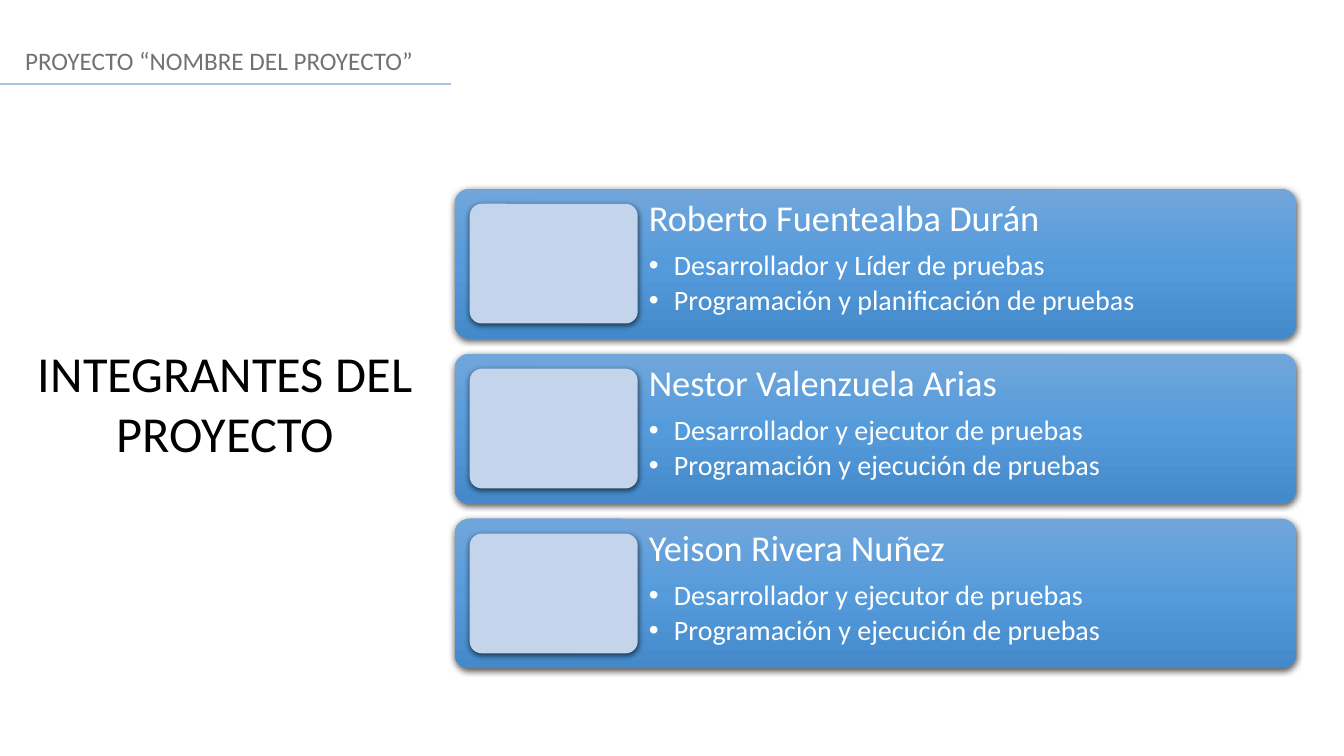
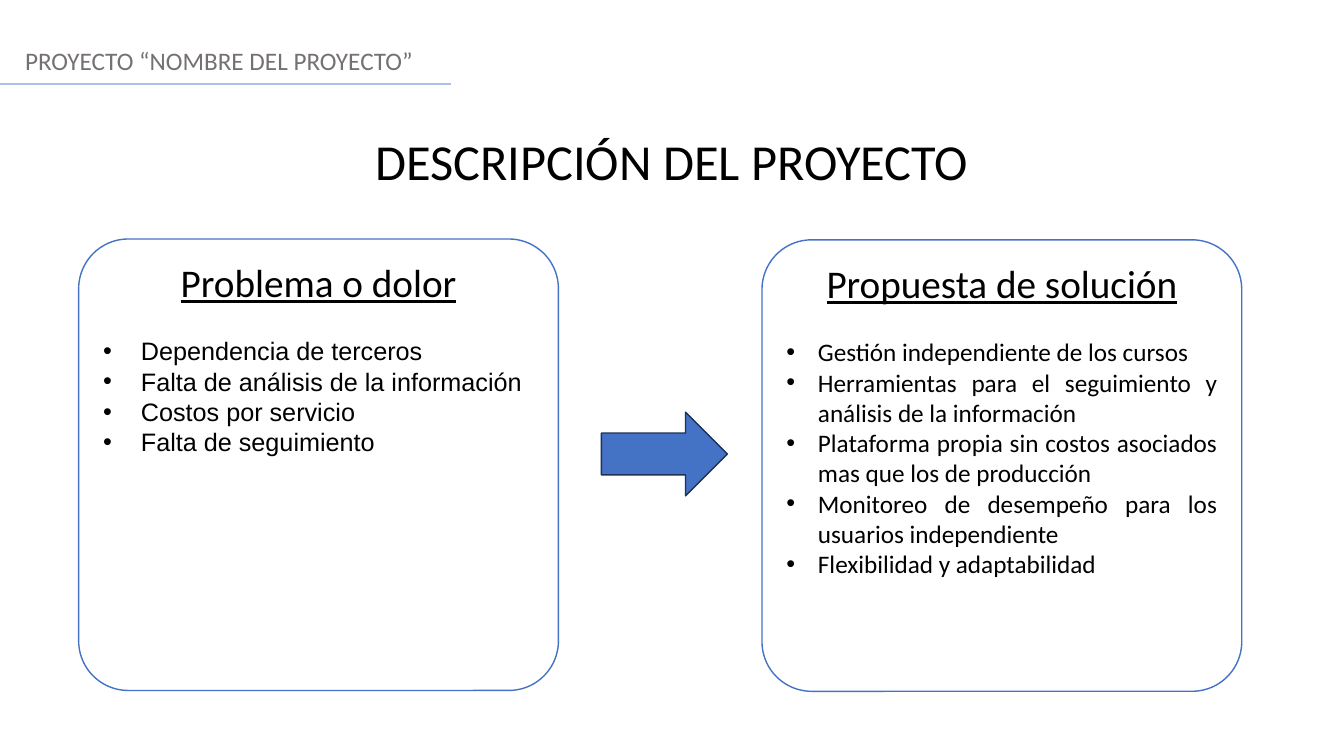
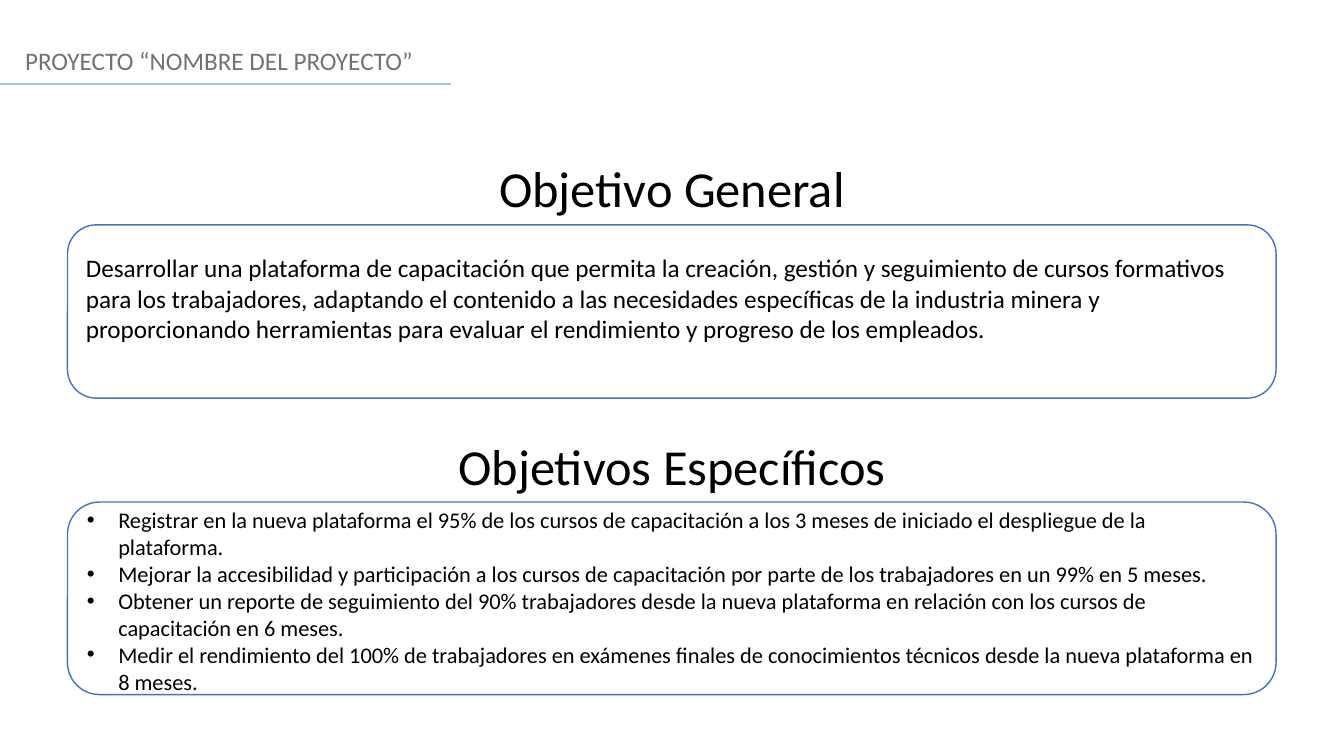
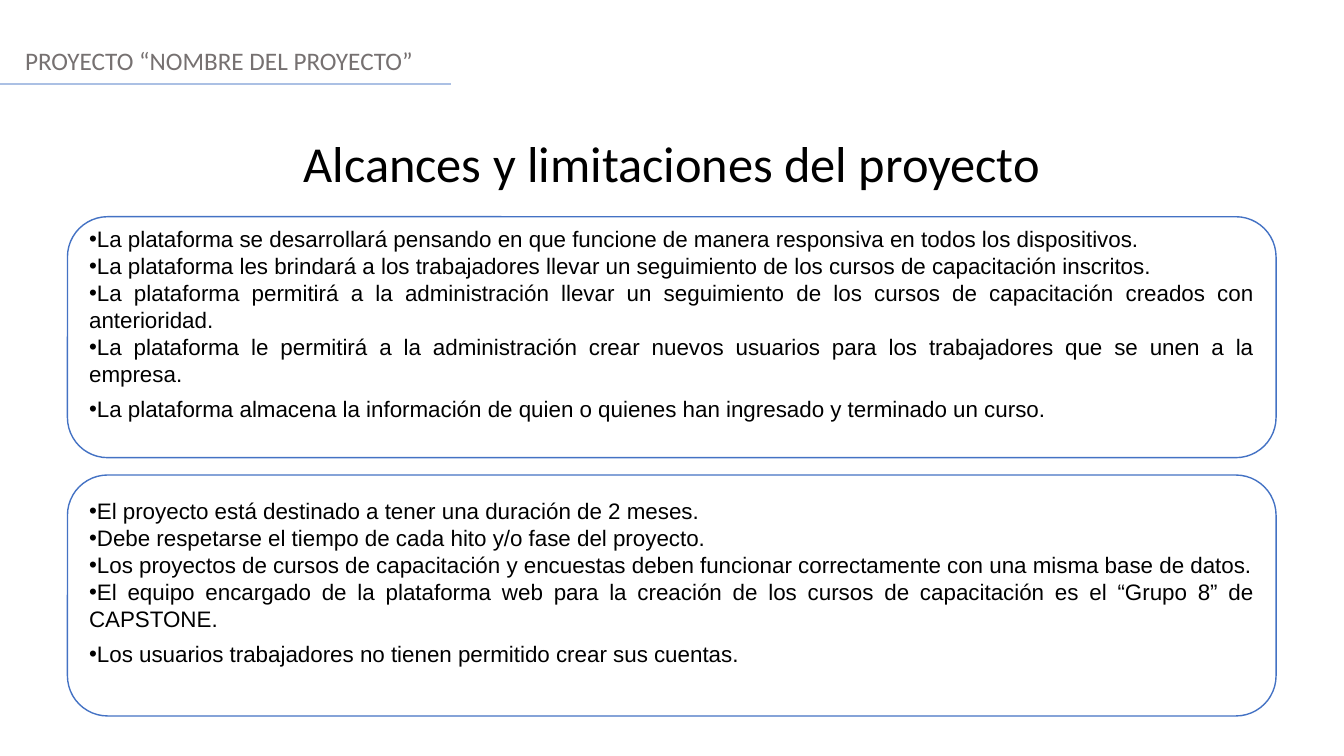
from copy import deepcopy

from pptx import Presentation
from pptx.dml.color import RGBColor
from pptx.enum.shapes import MSO_CONNECTOR, MSO_SHAPE
from pptx.enum.text import MSO_ANCHOR, MSO_AUTO_SIZE, PP_ALIGN
from pptx.oxml import parse_xml
from pptx.oxml.ns import nsdecls, qn
from pptx.util import Pt

LEFT, CENTER, JUSTIFY = PP_ALIGN.LEFT, PP_ALIGN.CENTER, PP_ALIGN.JUSTIFY
TOP, MIDDLE = MSO_ANCHOR.TOP, MSO_ANCHOR.MIDDLE
ROUNDED, ARROW = MSO_SHAPE.ROUNDED_RECTANGLE, MSO_SHAPE.RIGHT_ARROW
STRAIGHT = MSO_CONNECTOR.STRAIGHT

COLORS = {
    "text": "000000", "white": "FFFFFF", "header": "767171", "rule": "ABC0E4",
    "accent": "4472C4", "arrow_line": "1E3256", "thumb": "C4D5EB",
    "card_top": "71A6DB", "card_mid": "559BDB", "card_bottom": "448ACA",
}
WIDTH, HEIGHT = 960, 540
CALIBRI, ARIAL = "Calibri", "Arial"
HEADER = "PROYECTO “NOMBRE DEL PROYECTO”"
MEMBERS = [
    ("Roberto Fuentealba Durán",
     ["Desarrollador y Líder de pruebas", "Programación y planificación de pruebas"]),
    ("Nestor Valenzuela Arias",
     ["Desarrollador y ejecutor de pruebas", "Programación y ejecución de pruebas"]),
    ("Yeison Rivera Nuñez",
     ["Desarrollador y ejecutor de pruebas", "Programación y ejecución de pruebas"]),
]
PROBLEMS = [
    "Dependencia de terceros",
    "Falta de análisis de la información",
    "Costos por servicio",
    "Falta de seguimiento",
]
SOLUTIONS = [
    "Gestión independiente de los cursos",
    "Herramientas para el seguimiento y análisis de la información",
    "Plataforma propia sin costos asociados mas que los de producción",
    "Monitoreo de desempeño para los usuarios independiente",
    "Flexibilidad y adaptabilidad",
]
GENERAL_GOAL = (
    "Desarrollar una plataforma de capacitación que permita la creación, gestión y "
    "seguimiento de cursos formativos para los trabajadores, adaptando el contenido a las "
    "necesidades específicas de la industria minera y proporcionando herramientas para "
    "evaluar el rendimiento y progreso de los empleados."
)
SPECIFIC_GOALS = [
    "Registrar en la nueva plataforma el 95% de los cursos de capacitación a los 3 meses "
    "de iniciado el despliegue de la plataforma.",
    "Mejorar la accesibilidad y participación a los cursos de capacitación por parte de "
    "los trabajadores en un 99% en 5 meses.",
    "Obtener un reporte de seguimiento del 90% trabajadores desde la nueva plataforma en "
    "relación con los cursos de capacitación en 6 meses.",
    "Medir el rendimiento del 100% de trabajadores en exámenes finales de conocimientos "
    "técnicos desde la nueva plataforma en 8 meses.",
]
SCOPE = [
    "La plataforma se desarrollará pensando en que funcione de manera responsiva en todos "
    "los dispositivos.",
    "La plataforma les brindará a los trabajadores llevar un seguimiento de los cursos de "
    "capacitación inscritos.",
    "La plataforma permitirá a la administración llevar un seguimiento de los cursos de "
    "capacitación creados con anterioridad.",
    "La plataforma le permitirá a la administración crear nuevos usuarios para los "
    "trabajadores que se unen a la empresa.",
    "La plataforma almacena la información de quien o quienes han ingresado y terminado "
    "un curso.",
]
LIMITS = [
    "El proyecto está destinado a tener una duración de 2 meses.",
    "Debe respetarse el tiempo de cada hito y/o fase del proyecto.",
    "Los proyectos de cursos de capacitación y encuestas deben funcionar correctamente "
    "con una misma base de datos.",
    "El equipo encargado de la plataforma web para la creación de los cursos de "
    "capacitación es el “Grupo 8” de CAPSTONE.",
    "Los usuarios trabajadores no tienen permitido crear sus cuentas.",
]


def rgb(name):
    return RGBColor.from_string(COLORS[name])


def points(box):
    return [Pt(v) for v in box]


def add_text(p, text, size, color="text", font=CALIBRI, align=LEFT, underline=False):
    p.alignment = align
    r = p.add_run()
    r.text = text
    r.font.size = Pt(size)
    r.font.name = font
    r.font.underline = underline
    r.font.color.rgb = rgb(color)


def add_bullet(p, indent):
    pPr = p._p.get_or_add_pPr()
    pPr.set("marL", str(Pt(indent)))
    pPr.set("indent", str(-Pt(indent)))
    pPr.append(parse_xml(f'<a:buFont {nsdecls("a")} typeface="Arial"/>'))
    pPr.append(parse_xml(f'<a:buChar {nsdecls("a")} char="•"/>'))


def add_paragraph(tf):
    first = tf.paragraphs[0]
    return tf.add_paragraph() if first.runs else first


def fill_heading(sp, text):
    tf = sp.text_frame
    tf.word_wrap = True
    tf.auto_size = MSO_AUTO_SIZE.NONE
    tf.vertical_anchor = TOP
    add_text(tf.paragraphs[0], text, 36, align=CENTER)


def add_box(s, kind, box, fill=None, line=None):
    sp = s.shapes.add_shape(kind, *points(box))
    sp.shadow.inherit = False
    if fill:
        sp.fill.solid()
        sp.fill.fore_color.rgb = rgb(fill)
    if line:
        sp.line.color.rgb = rgb(line)
        sp.line.width = Pt(1)
    else:
        sp.line.fill.background()
    return sp


def add_shadow(sp):
    effects = sp.element.spPr.find(qn("a:effectLst"))
    effects.append(parse_xml(
        f'<a:outerShdw {nsdecls("a")} blurRad="{Pt(4.5)}" dist="{Pt(1.5)}" dir="5400000" '
        'algn="ctr" rotWithShape="0"><a:srgbClr val="000000"><a:alpha val="63000"/>'
        '</a:srgbClr></a:outerShdw>'))


def fill_gradient(sp, colors):
    sp.fill.gradient()
    sp.fill.gradient_angle = 270
    stops = sp.element.spPr.find(".//" + qn("a:gsLst"))
    stops.insert(1, deepcopy(stops[0]))
    for i, (stop, color) in enumerate(zip(sp.fill.gradient_stops, colors)):
        stop.position = i / (len(colors) - 1)
        stop.color.rgb = rgb(color)


def add_slide(prs, title, title_box):
    s = prs.slides.add_slide(prs.slide_layouts[5])
    sp = s.shapes.title
    sp.left, sp.top, sp.width, sp.height = points(title_box)
    fill_heading(sp, title)
    add_header(s, (0, 29, WIDTH, 31))
    return s


def add_header(s, box):
    x, y, w, h = box
    sp = s.shapes.add_textbox(*points((x + 10.8, y, w - 10.8, h - 2)))
    sp.text_frame.word_wrap = True
    add_text(sp.text_frame.paragraphs[0], HEADER, 18, "header")
    rule = s.shapes.add_connector(STRAIGHT, *points((x, y + h, x + 322, y + h)))
    rule.line.color.rgb = rgb("rule")
    rule.line.width = Pt(1.25)
    rule.element.spPr.append(parse_xml(f'<a:effectLst {nsdecls("a")}/>'))


def add_member(s, box, name, roles):
    x, y, w, h = box
    pad, thumb_w = 10.8, 120
    card = add_box(s, ROUNDED, box)
    card.adjustments[0] = 0.1
    fill_gradient(card, ["card_top", "card_mid", "card_bottom"])
    add_shadow(card)
    thumb = add_box(s, ROUNDED, (x + pad, y + pad, thumb_w, h - 2 * pad), "thumb")
    thumb.adjustments[0] = 0.1
    add_shadow(thumb)
    text_x = pad + thumb_w
    tf = s.shapes.add_textbox(*points((x + text_x, y, w - text_x, h))).text_frame
    tf.word_wrap = True
    tf.margin_left = tf.margin_right = tf.margin_top = tf.margin_bottom = Pt(7.9)
    add_text(tf.paragraphs[0], name, 26, "white")
    tf.paragraphs[0].space_after = Pt(9.1)
    for role in roles:
        p = tf.add_paragraph()
        add_text(p, role, 20, "white")
        p.space_after = Pt(3)
        add_bullet(p, 18)
    for p in tf.paragraphs:
        p.line_spacing = 0.9


def add_panel(s, box, items, size, font=CALIBRI, align=LEFT, indent=None, heading=None,
              lift=0, last_gap=0):
    sp = add_box(s, ROUNDED, box, "white", "accent")
    tf = sp.text_frame
    tf.word_wrap = True
    tf.vertical_anchor = MIDDLE
    tf.margin_top = Pt(3.6 + max(-lift, 0))
    tf.margin_bottom = Pt(3.6 + max(lift, 0))
    if heading:
        sp.adjustments[0] = 0.11
        tf.vertical_anchor = TOP
        add_text(tf.paragraphs[0], heading, 28, align=CENTER, underline=True)
        tf.paragraphs[0].space_after = Pt(1.2 * size)
    for item in items:
        p = add_paragraph(tf)
        add_text(p, item, size, font=font, align=align)
        p.line_spacing = Pt(1.2 * size)
        if indent is not None:
            add_bullet(p, indent)
    if last_gap:
        p.space_before = Pt(last_gap)


def members_slide(prs):
    s = add_slide(prs, "INTEGRANTES DEL PROYECTO", (18.7, 240.5, 284.4, 94.3))
    for i, (name, roles) in enumerate(MEMBERS):
        add_member(s, (324.7, 134.8 + 117.8 * i, 601.2, 107.1), name, roles)


def description_slide(prs):
    s = add_slide(prs, "DESCRIPCIÓN DEL PROYECTO", (0, 89.3, WIDTH, 51))
    add_panel(s, (56.2, 170.7, 342.7, 322.5), PROBLEMS, 18, ARIAL, indent=27,
              heading="Problema o dolor")
    add_panel(s, (544.3, 171.3, 342.7, 322.5), SOLUTIONS, 18, align=JUSTIFY, indent=22.5,
              heading="Propuesta de solución")
    add_box(s, ARROW, (429.6, 294.4, 90, 59.8), "accent", "arrow_line")


def goals_slide(prs):
    s = add_slide(prs, "Objetivo General", (0, 108.7, WIDTH, 51))
    fill_heading(s.shapes.add_textbox(*points((0, 307.5, WIDTH, 51))), "Objetivos Específicos")
    add_panel(s, (48.2, 160.6, 863.3, 123.8), [GENERAL_GOAL], 18, lift=19)
    add_panel(s, (48.2, 358.6, 863.3, 137.5), SPECIFIC_GOALS, 16, indent=22.5, lift=-3)


def scope_slide(prs):
    s = add_slide(prs, "Alcances y limitaciones del proyecto", (0, 90.7, WIDTH, 51))
    for i, items in enumerate((SCOPE, LIMITS)):
        add_panel(s, (48.2, 154.8 + 184.5 * i, 863.3, 172.1), items, 16, ARIAL, JUSTIFY,
                  indent=0, lift=19, last_gap=6)


def main():
    prs = Presentation()
    prs.slide_width, prs.slide_height = Pt(WIDTH), Pt(HEIGHT)
    members_slide(prs)
    description_slide(prs)
    goals_slide(prs)
    scope_slide(prs)
    prs.save("out.pptx")


if __name__ == "__main__":
    main()
